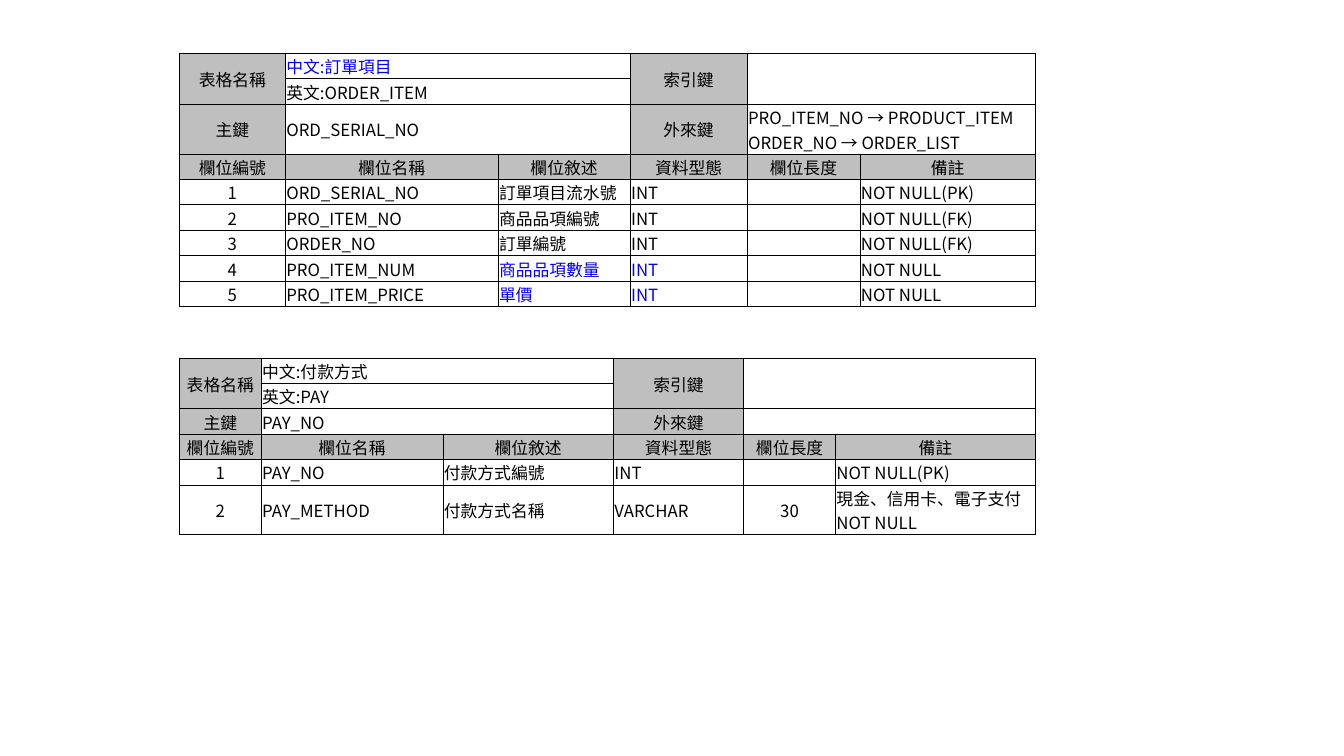
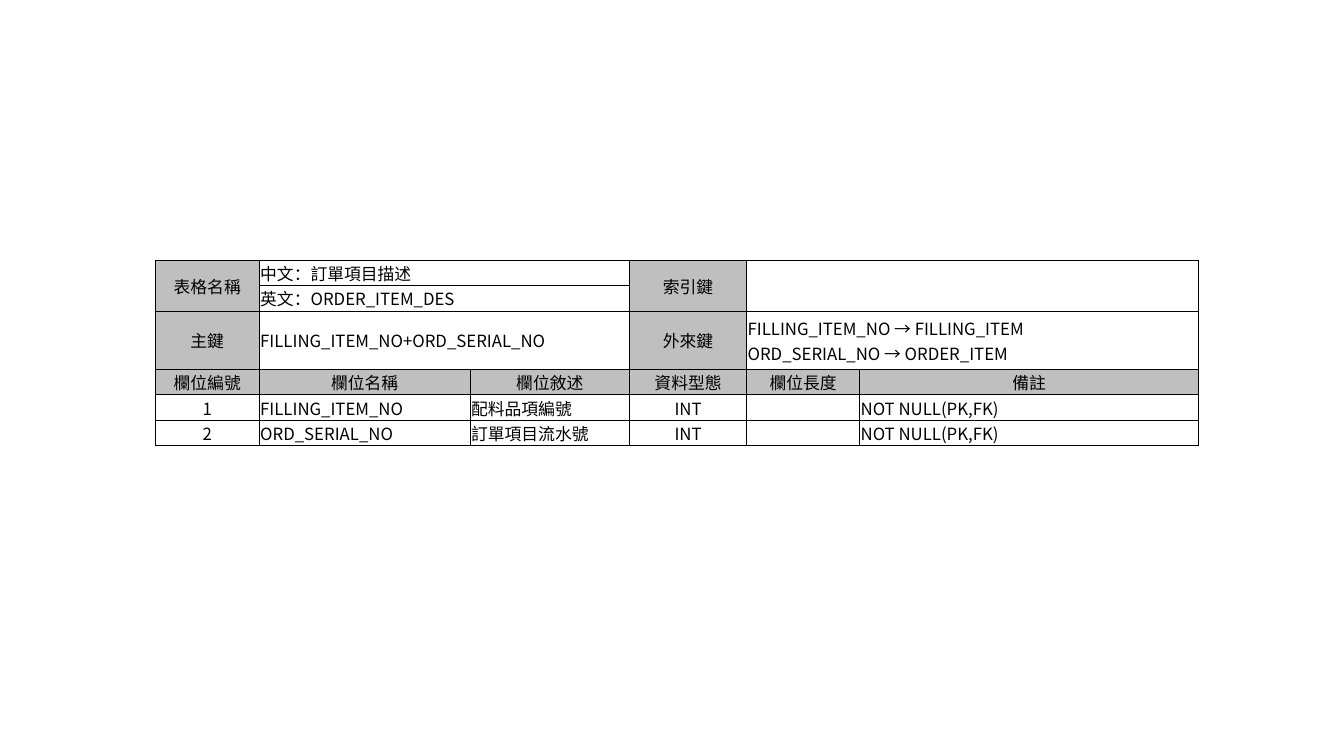
import dataclasses

import lxml.etree
import pptx
import pptx.dml.color
import pptx.enum.text
import pptx.oxml.ns
import pptx.util

INK = pptx.dml.color.RGBColor(0x00, 0x00, 0x00)
BLUE = pptx.dml.color.RGBColor(0x00, 0x00, 0xFF)
GREY = pptx.dml.color.RGBColor(0xBF, 0xBF, 0xBF)
WHITE = pptx.dml.color.RGBColor(0xFF, 0xFF, 0xFF)
FONT = "Noto Sans CJK SC"
TEXT_SIZE = pptx.util.Pt(12)
BORDER_WIDTH = pptx.util.Pt(0.5)
INSET = pptx.util.Inches(0.01)
SLIDE_WIDTH, SLIDE_HEIGHT = 13.33, 7.5
BLANK_LAYOUT = 6
HEADINGS = ["欄位編號", "欄位名稱", "欄位敘述", "資料型態", "欄位長度", "備註"]
HEADING_ROW = 3
CENTER = pptx.enum.text.PP_ALIGN.CENTER
LEFT = pptx.enum.text.PP_ALIGN.LEFT
qn = pptx.oxml.ns.qn


@dataclasses.dataclass
class Schema:
    """Content and proportions of one database table description."""

    chinese: str
    english: str
    primary_key: str
    foreign_key: str
    fields: list
    columns: list
    row_height: float
    key_height: float
    centered: tuple = (0, 4)
    blue: tuple = ()
    plain_fill: pptx.dml.color.RGBColor = None


def add_child(parent, tag, **attributes):
    """Append a DrawingML element to a parent."""
    return lxml.etree.SubElement(parent, qn(tag), **attributes)


def write_text(cell, text, color=INK, align=LEFT):
    """Write one formatted paragraph in a cell, with newlines as line breaks."""
    cell.vertical_anchor = pptx.enum.text.MSO_ANCHOR.MIDDLE
    cell.margin_left = cell.margin_right = cell.margin_top = INSET
    cell.margin_bottom = 0
    paragraph = cell.text_frame.paragraphs[0]
    paragraph.text = text.replace("\n", "\v")
    paragraph.alignment = align
    size = str(TEXT_SIZE.centipoints)
    for run in paragraph.runs:
        run.font.size = TEXT_SIZE
        run.font.name = FONT
        run.font.color.rgb = color
        add_child(run.font._element, "a:ea", typeface=FONT)
    marks = [add_child(line_break, "a:rPr", sz=size)
             for line_break in paragraph._p.findall(qn("a:br"))]
    marks.append(add_child(paragraph._p, "a:endParaRPr", sz=size))
    for mark in marks:
        for script in ("a:latin", "a:ea"):
            add_child(mark, script, typeface=FONT)


def style_cell(cell, fill):
    """Give a cell its thin black borders and its fill."""
    properties = cell._tc.get_or_add_tcPr()
    for side in ("a:lnL", "a:lnR", "a:lnT", "a:lnB"):
        line = add_child(properties, side, w=str(BORDER_WIDTH))
        add_child(add_child(line, "a:solidFill"), "a:srgbClr", val=str(INK))
    if fill is None:
        cell.fill.background()
    else:
        cell.fill.solid()
        cell.fill.fore_color.rgb = fill


def add_schema_table(slide, schema, left, top, width):
    """Draw a schema table, with its place and width as shares of the slide."""
    rows = [
        ["表格名稱", schema.chinese, "", "索引鍵", "", ""],
        ["", schema.english, "", "", "", ""],
        ["主鍵", schema.primary_key, "", "外來鍵", schema.foreign_key, ""],
        HEADINGS,
    ] + [[str(number), *field] for number, field in enumerate(schema.fields, 1)]
    heights = [schema.row_height] * len(rows)
    heights[2] = schema.key_height
    table_width = width * SLIDE_WIDTH
    table = slide.shapes.add_table(
        len(rows), len(HEADINGS),
        pptx.util.Inches(left * SLIDE_WIDTH), pptx.util.Inches(top * SLIDE_HEIGHT),
        pptx.util.Inches(table_width), pptx.util.Inches(sum(heights))).table
    table.first_row = table.horz_banding = False
    for column, share in zip(table.columns, schema.columns):
        column.width = pptx.util.Inches(table_width * share / sum(schema.columns))
    for row, height in zip(table.rows, heights):
        row.height = pptx.util.Inches(height)

    for r, texts in enumerate(rows):
        for c, text in enumerate(texts):
            is_label = r == HEADING_ROW or (r < HEADING_ROW and c in (0, 3))
            is_centered = is_label or (r > HEADING_ROW and c in schema.centered)
            style_cell(table.cell(r, c), GREY if is_label else schema.plain_fill)
            write_text(table.cell(r, c), text,
                       color=BLUE if (r, c) in schema.blue else INK,
                       align=CENTER if is_centered else LEFT)

    for first, last in [((0, 0), (1, 0)), ((0, 1), (0, 2)), ((0, 3), (1, 3)),
                        ((0, 4), (1, 5)), ((1, 1), (1, 2)), ((2, 1), (2, 2)),
                        ((2, 4), (2, 5))]:
        table.cell(*first).merge(table.cell(*last))


ORDER_ITEM = Schema(
    "中文:訂單項目", "英文:ORDER_ITEM", "ORD_SERIAL_NO",
    "PRO_ITEM_NO → PRODUCT_ITEM\nORDER_NO → ORDER_LIST",
    [["ORD_SERIAL_NO", "訂單項目流水號", "INT", "", "NOT NULL(PK)"],
     ["PRO_ITEM_NO", "商品品項編號", "INT", "", "NOT NULL(FK)"],
     ["ORDER_NO", "訂單編號", "INT", "", "NOT NULL(FK)"],
     ["PRO_ITEM_NUM", "商品品項數量", "INT", "", "NOT NULL"],
     ["PRO_ITEM_PRICE", "單價", "INT", "", "NOT NULL"]],
    columns=[1.05, 2.11, 1.31, 1.16, 1.12, 1.74], row_height=0.22, key_height=0.48,
    blue=((0, 1), (7, 2), (7, 3), (8, 2), (8, 3)))

PAY = Schema(
    "中文:付款方式", "英文:PAY", "PAY_NO", "",
    [["PAY_NO", "付款方式編號", "INT", "", "NOT NULL(PK)"],
     ["PAY_METHOD", "付款方式名稱", "VARCHAR", "30", "現金、信用卡、電子支付\nNOT NULL"]],
    columns=[0.81, 1.8, 1.69, 1.29, 0.91, 1.98], row_height=0.22, key_height=0.22)

ORDER_ITEM_DES = Schema(
    "中文：訂單項目描述", "英文：ORDER_ITEM_DES", "FILLING_ITEM_NO+ORD_SERIAL_NO",
    "FILLING_ITEM_NO → FILLING_ITEM\nORD_SERIAL_NO → ORDER_ITEM",
    [["FILLING_ITEM_NO", "配料品項編號", "INT", "", "NOT NULL(PK,FK)"],
     ["ORD_SERIAL_NO", "訂單項目流水號", "INT", "", "NOT NULL(PK,FK)"]],
    columns=[1.03, 2.09, 1.58, 1.16, 1.12, 3.36], row_height=0.24, key_height=0.58,
    centered=(0, 3, 4), plain_fill=WHITE)

SLIDES = [
    [(ORDER_ITEM, 1.78, 0.53, 8.49), (PAY, 1.78, 3.55, 8.49)],
    [(ORDER_ITEM_DES, 1.54, 2.58, 10.35)],
]


def main():
    """Build the presentation and save it."""
    presentation = pptx.Presentation()
    presentation.slide_width = pptx.util.Inches(SLIDE_WIDTH)
    presentation.slide_height = pptx.util.Inches(SLIDE_HEIGHT)
    for tables in SLIDES:
        slide = presentation.slides.add_slide(presentation.slide_layouts[BLANK_LAYOUT])
        for schema, left, top, width in tables:
            add_schema_table(slide, schema, left / SLIDE_WIDTH, top / SLIDE_HEIGHT,
                             width / SLIDE_WIDTH)
    presentation.save("out.pptx")


main()
